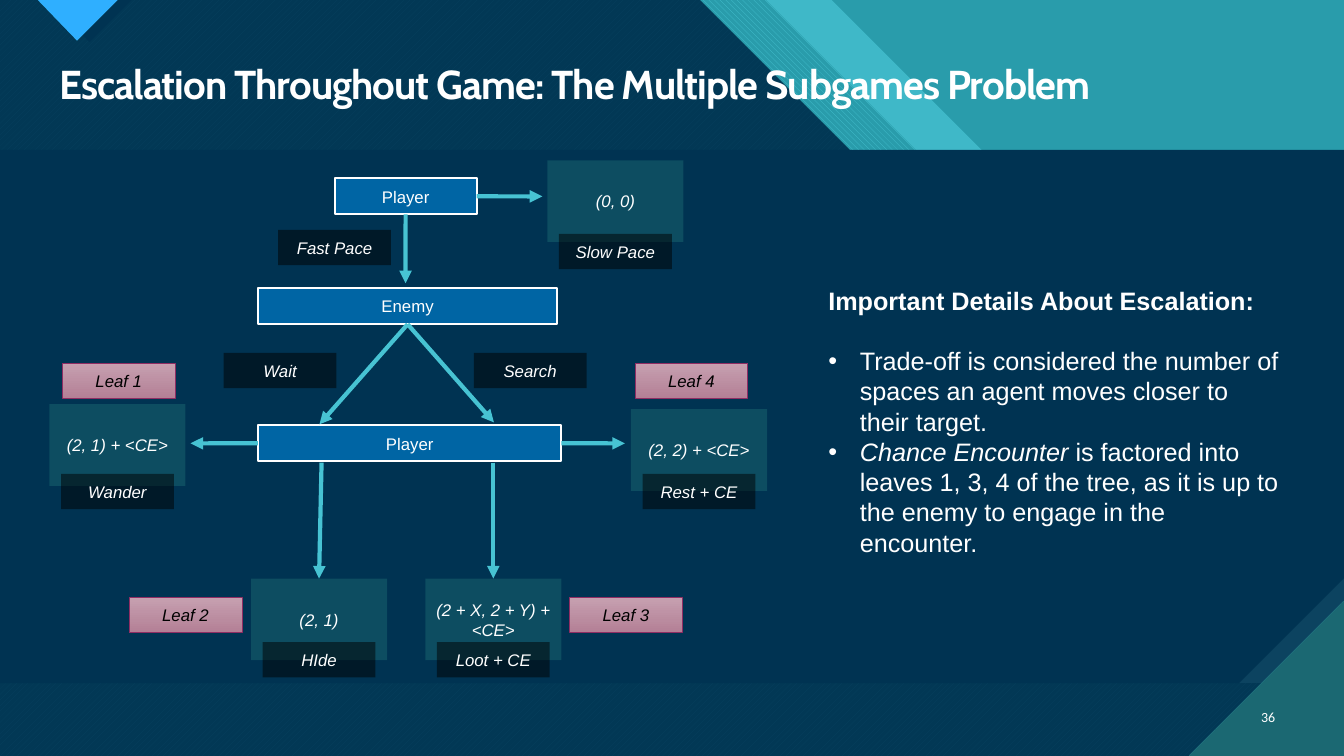
from dataclasses import dataclass

from lxml.etree import SubElement
from pptx import Presentation
from pptx.dml.color import RGBColor
from pptx.enum.dml import MSO_PATTERN as Pattern
from pptx.enum.shapes import MSO_CONNECTOR as Connector, MSO_SHAPE as Preset
from pptx.enum.text import MSO_ANCHOR as Anchor, MSO_AUTO_SIZE as AutoSize, PP_ALIGN as Align
from pptx.oxml.ns import qn
from pptx.util import Pt

WIDTH, HEIGHT = 960, 540
BAND_TOP, BAND_BOTTOM = 106.9, 488.2
NAVY, TEAL, AQUA, PINE = "003352", "299CAB", "47C3D3", "1B6872"
WHITE, BLACK = "FFFFFF", "000000"
TOP, LEFT, BOTTOM, RIGHT = 0, 1, 2, 3


@dataclass
class Facet:
    points: list[tuple[float, float]]
    color: str
    alpha: int = 100
    pattern: object = None
    back: str = PINE


@dataclass
class BoxStyle:
    width: float
    height: float
    fill: str
    alpha: int = 100
    fill_end: str = ""
    line: str = ""
    line_width: float = 0
    text: str = WHITE
    italic: bool = True


@dataclass
class Outcome:
    payoff: str
    left: float
    top: float
    action: str
    action_top: float


@dataclass
class Arrow:
    start: tuple[float, float]
    end: tuple[float, float]
    source: object
    source_side: int
    target: object = None


def rgb(color: str) -> RGBColor:
    return RGBColor.from_string(color)


def fade(shape, alpha: int) -> None:
    if alpha < 100:
        color = shape._element.spPr.find(".//" + qn("a:srgbClr"))
        SubElement(color, qn("a:alpha"), val=str(alpha * 1000))


def format_run(run, size: float, color: str, font: str = "Arial", bold=False, italic=False) -> None:
    run.font.size, run.font.name = Pt(size), font
    run.font.bold, run.font.italic = bold, italic
    run.font.color.rgb = rgb(color)


def add_facet(slide, facet: Facet) -> None:
    builder = slide.shapes.build_freeform(*facet.points[0], scale=float(Pt(1)))
    builder.add_line_segments(facet.points[1:], close=True)
    shape = builder.convert_to_shape()
    shape.shadow.inherit = False
    shape.line.fill.background()
    if facet.pattern is None:
        shape.fill.solid()
        shape.fill.fore_color.rgb = rgb(facet.color)
    else:
        shape.fill.patterned()
        shape.fill.pattern = facet.pattern
        shape.fill.fore_color.rgb = rgb(facet.color)
        shape.fill.back_color.rgb = rgb(facet.back)
    fade(shape, facet.alpha)


def add_box(slide, text: str, left: float, top: float, style: BoxStyle):
    box = slide.shapes.add_shape(Preset.RECTANGLE, Pt(left), Pt(top), Pt(style.width), Pt(style.height))
    box.shadow.inherit = False
    if style.fill_end:
        box.fill.gradient()
        box.fill.gradient_angle = 270
        for stop, color in zip(box.fill.gradient_stops, (style.fill, style.fill_end)):
            stop.color.rgb = rgb(color)
    else:
        box.fill.solid()
        box.fill.fore_color.rgb = rgb(style.fill)
    fade(box, style.alpha)
    if style.line:
        box.line.color.rgb, box.line.width = rgb(style.line), Pt(style.line_width)
    else:
        box.line.fill.background()
    box.text_frame.text = text
    box.text_frame.word_wrap = True
    box.text_frame.vertical_anchor = Anchor.MIDDLE
    label = box.text_frame.paragraphs[0]
    label.alignment = Align.CENTER
    format_run(label.runs[0], 12, style.text, italic=style.italic)
    return box


def add_arrow(slide, arrow: Arrow) -> None:
    line = slide.shapes.add_connector(Connector.STRAIGHT, *map(Pt, arrow.start + arrow.end))
    if arrow.source is not None:
        line.begin_connect(arrow.source, arrow.source_side)
    if arrow.target is not None:
        line.end_connect(arrow.target, TOP)
    line.line.color.rgb, line.line.width = rgb(AQUA), Pt(3)
    SubElement(line.line._get_or_add_ln(), qn("a:tailEnd"), type="triangle")
    SubElement(line._element.spPr, qn("a:effectLst"))


def slanted(edge: float) -> list[tuple[float, float]]:
    """Slide area left of a 45-degree edge that starts at the top."""
    return [(0, 0), (edge, 0), (edge + 213.8, 213.8), (edge + 213.8, HEIGHT), (0, HEIGHT)]


def main() -> None:
    deck = Presentation()
    deck.slide_width, deck.slide_height = Pt(WIDTH), Pt(HEIGHT)
    slide = deck.slides.add_slide(deck.slide_layouts[5])
    slide.background.fill.solid()
    slide.background.fill.fore_color.rgb = rgb(TEAL)

    # Backdrop
    page = [(0, BAND_BOTTOM), (WIDTH, BAND_BOTTOM), (WIDTH, HEIGHT), (0, HEIGHT)]
    band = [(0, BAND_TOP), (WIDTH, BAND_TOP), (WIDTH, BAND_BOTTOM), (0, BAND_BOTTOM)]
    snip = 75.2
    snipped = band[:2] + [(WIDTH, BAND_BOTTOM - snip), (WIDTH - snip, BAND_BOTTOM), band[3]]
    for facet in (
        Facet(slanted(594), AQUA, 74),
        Facet(slanted(547.2), AQUA, pattern=Pattern.WIDE_DOWNWARD_DIAGONAL, back=TEAL),
        *(facet for area in (slanted(500.4), page) for facet in (
            Facet(area, AQUA, pattern=Pattern.WIDE_UPWARD_DIAGONAL),
            Facet(area, NAVY, 90))),
        Facet([(34.6, 0), (94.3, 0), (64.5, 29.5)], NAVY),
        Facet([(26.6, 0), (84.2, 0), (55.4, 28.8)], "2FAFFF", pattern=Pattern.DARK_HORIZONTAL),
        Facet(band, "0C4360", pattern=Pattern.DARK_VERTICAL),
        Facet(snipped, NAVY),
        Facet([(849, HEIGHT), (WIDTH, HEIGHT), (WIDTH, 429)], PINE,
              pattern=Pattern.DARK_HORIZONTAL, back=AQUA),
    ):
        add_facet(slide, facet)

    # Title, raised above the backdrop
    title = slide.shapes.title
    title._element.getparent().append(title._element)
    title.left, title.top, title.width, title.height = Pt(35.3), Pt(42.5), Pt(882.7), Pt(42.5)
    title.text_frame.text = "Escalation Throughout Game: The Multiple Subgames Problem"
    title.text_frame.vertical_anchor = Anchor.TOP
    title.text_frame.auto_size = AutoSize.NONE
    heading = title.text_frame.paragraphs[0]
    heading.alignment, heading.line_spacing = Align.LEFT, 0.9
    format_run(heading.runs[0], 28.8, WHITE, "Cabin", bold=True)
    heading.runs[0].font._element.set("spc", "-70")

    # Slide number
    number = slide.shapes.add_textbox(Pt(886.3), Pt(497.5), Pt(31.7), Pt(28.8)).text_frame
    number.text, number.word_wrap = "36", True
    number.vertical_anchor = Anchor.MIDDLE
    number.paragraphs[0].alignment = Align.RIGHT
    number.paragraphs[0].space_after = Pt(6)
    format_run(number.paragraphs[0].runs[0], 10, WHITE, "Calibri")

    # Decision makers, from the first move down
    first_player, enemy, second_player = (
        add_box(slide, name, left, top, BoxStyle(
            width, 25.7, "0065A4", line=WHITE, line_width=1.5, italic=False))
        for name, left, top, width in (
            ("Player", 239, 127.4, 101.5),
            ("Enemy", 184.3, 205.9, 213.8),
            ("Player", 184.3, 303.8, 216.7)))

    # Moves and the outcomes they lead to
    move = BoxStyle(80.6, 25.2, BLACK, alpha=50)
    payoff = BoxStyle(97.2, 58.3, "1A6871", alpha=50)
    for name, left, top in (("Fast Pace", 198.7, 164.2), ("Wait", 159.8, 252), ("Search", 338.4, 252)):
        add_box(slide, name, left, top, move)
    payoffs = {}
    for end in (
        Outcome("(0, 0)", 391, 114.5, "Slow Pace", 167),
        Outcome("(2, 1) + <CE>", 35.3, 288.7, "Wander", 338.4),
        Outcome("(2, 1)", 179.3, 413.3, "HIde", 458.6),
        Outcome("(2 + X, 2 + Y) + <CE>", 303.8, 413.3, "Loot + CE", 458.6),
        Outcome("(2, 2) + <CE>", 450.7, 292.3, "Rest + CE", 338.4),
    ):
        payoffs[end.action] = add_box(slide, end.payoff, end.left, end.top, payoff)
        add_box(slide, end.action, end.left + (payoff.width - move.width) / 2, end.action_top, move)

    # Leaf tags
    leaf = BoxStyle(80.6, 25.2, "C6A0B0", fill_end="B48096", line="8F2D63", line_width=0.5, text=BLACK)
    for index, (left, top) in enumerate(((44.6, 259.2), (92.2, 426.6), (406.8, 426.6), (453.6, 259.2)), 1):
        add_box(slide, f"Leaf {index}", left, top, leaf)

    # Arrows between decisions and outcomes
    for arrow in (
        Arrow((289.7, 153.1), (289.7, 202.3), first_player, BOTTOM),
        Arrow((340.5, 140.3), (387.4, 140.3), first_player, RIGHT),
        Arrow((291.2, 231.6), (228.2, 303.1), enemy, BOTTOM),
        Arrow((291.2, 231.6), (352.8, 301.7), enemy, BOTTOM),
        Arrow((184.3, 316.7), (136.1, 316.7), second_player, LEFT),
        Arrow((401, 316.7), (446.4, 316.7), second_player, RIGHT),
        Arrow((229.7, 330.5), (227.9, 413.3), None, BOTTOM, payoffs["HIde"]),
        Arrow((352.4, 330.5), (352.4, 413.3), None, BOTTOM, payoffs["Loot + CE"]),
    ):
        add_arrow(slide, arrow)

    # Details about escalation
    details = slide.shapes.add_textbox(Pt(584.6), Pt(200.2), Pt(339.8), Pt(203.8)).text_frame
    details.word_wrap = True
    details.text = "Important Details About Escalation:"
    details.paragraphs[0].space_after = Pt(21.5)
    format_run(details.paragraphs[0].runs[0], 18, WHITE, bold=True)
    for emphasis, statement in (
        ("", "Trade-off is considered the number of spaces an agent moves closer to their target."),
        ("Chance Encounter ", "is factored into leaves 1, 3, 4 of the tree, as it is up to "
                              "the enemy to engage in the encounter."),
    ):
        point = details.add_paragraph()
        for words in filter(None, (emphasis, statement)):
            run = point.add_run()
            run.text = words
            format_run(run, 18, WHITE, italic=words == emphasis)
        properties = point._p.get_or_add_pPr()
        properties.set("marL", str(Pt(22.5)))
        properties.set("indent", str(-Pt(22.5)))
        SubElement(properties, qn("a:buFont"), typeface="Arial")
        SubElement(properties, qn("a:buChar"), char="•")

    deck.save("out.pptx")


if __name__ == "__main__":
    main()
